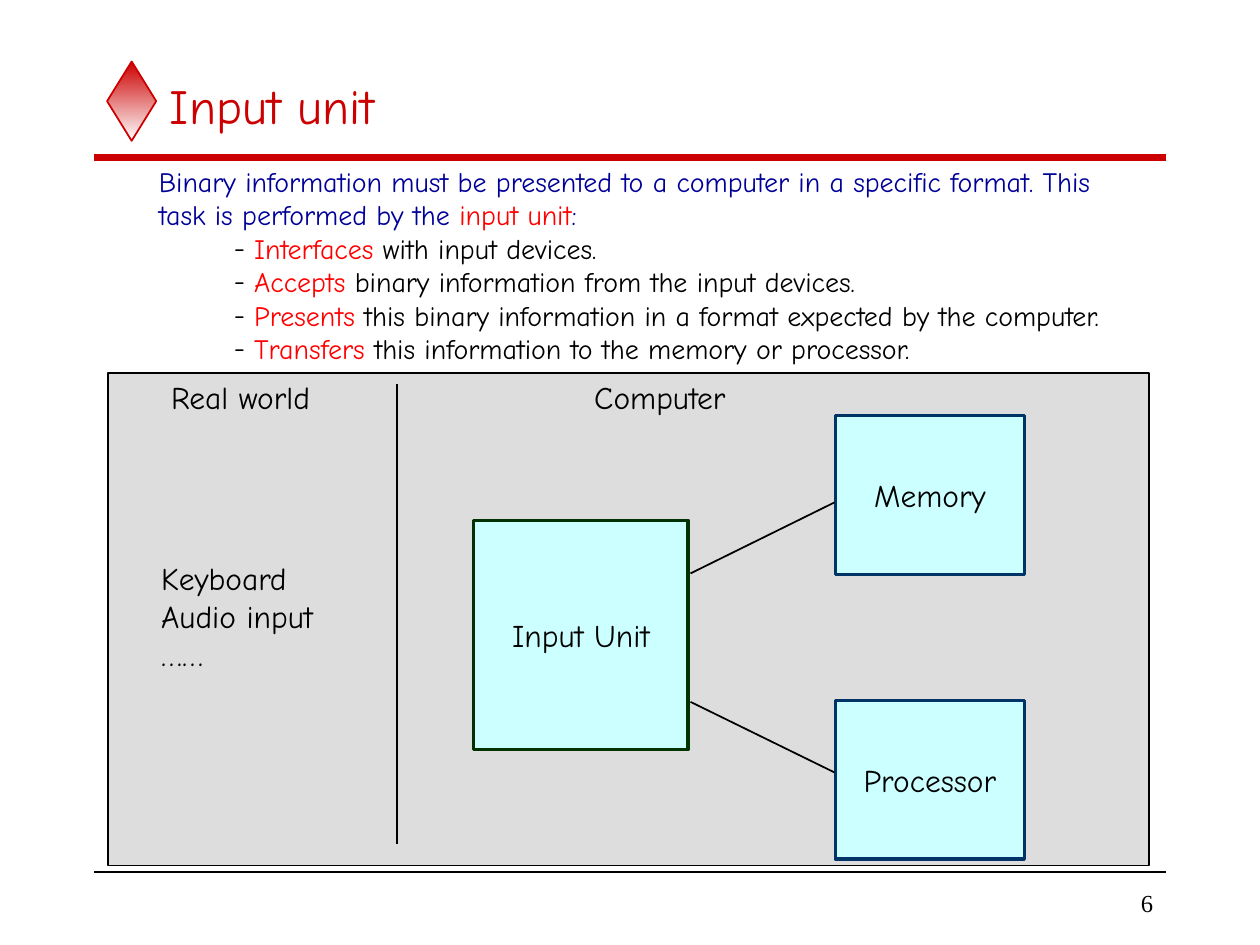
from collections import namedtuple
from lxml.etree import SubElement
from pptx import Presentation
from pptx.dml.color import RGBColor
from pptx.enum.shapes import MSO_CONNECTOR as Link, MSO_SHAPE as Shape
from pptx.enum.text import MSO_ANCHOR as Anchor, MSO_AUTO_SIZE as AutoSize, PP_ALIGN as Align
from pptx.oxml.ns import qn
from pptx.util import Cm, Pt

Box = namedtuple("Box", "left top width height")

HAND, SERIF = "Comic Neue", "Times New Roman"
RED, BRIGHT, NAVY, BLACK = "CC0000", "FF0000", "000099", "000000"
INTRO = [
    [("Binary information must be presented to a computer in a specific format. This", NAVY)],
    [("task is performed by the ", NAVY), ("input unit", BRIGHT), (":", NAVY)],
]
DUTIES = [
    ("Interfaces", " with input devices."),
    ("Accepts", " binary information from the input devices."),
    ("Presents", " this binary information in a format expected by the computer."),
    ("Transfers", " this information to the memory or processor."),
]


def colour(value):
    return RGBColor.from_string(value)


def inside(area, left, top, width, height):
    return Box(area.left + left, area.top + top, width, height)


def place(item, box):
    item.left, item.top, item.width, item.height = (Cm(length) for length in box)


def add_run(para, text, size, tint=BLACK, face=HAND):
    span = para.add_run()
    span.text = text
    span.font.size, span.font.name = Pt(size), face
    span.font.color.rgb = colour(tint)


def write(frame, paragraphs, size, align=Align.LEFT, anchor=Anchor.TOP, face=HAND):
    frame.word_wrap, frame.auto_size = True, AutoSize.NONE
    frame.vertical_anchor = anchor
    for index, runs in enumerate(paragraphs):
        para = frame.add_paragraph() if index else frame.paragraphs[0]
        para.alignment, para.line_spacing = align, 1.0
        para.space_before = para.space_after = Pt(0)
        for text, tint in runs:
            add_run(para, text, size, tint, face)


def add_label(page, box, lines, size=18, **style):
    label = page.shapes.add_textbox(*(Cm(length) for length in box))
    write(label.text_frame, [[(line, BLACK)] for line in lines], size, **style)


def add_line(page, start, end, tint=BLACK, weight=1):
    ends = [Cm(length) for length in (*start, *end)]
    line = page.shapes.add_connector(Link.STRAIGHT, *ends)
    line.line.color.rgb, line.line.width = colour(tint), Pt(weight)
    SubElement(line.element.spPr, qn("a:effectLst"))


def add_block(page, box, fill, border, weight, kind=Shape.RECTANGLE):
    block = page.shapes.add_shape(kind, *(Cm(length) for length in box))
    block.shadow.inherit = False
    block.fill.solid()
    block.fill.fore_color.rgb = colour(fill)
    block.line.color.rgb, block.line.width = colour(border), Pt(weight)
    return block


def set_bullet(para, mark=None, left=0, hanging=0):
    props = para._p.get_or_add_pPr()
    props.set("marL", str(Cm(left)))
    props.set("indent", str(-Cm(hanging)))
    if mark is None:
        SubElement(props, qn("a:buNone"))
        return
    SubElement(SubElement(props, qn("a:buClr")), qn("a:srgbClr"), val=BLACK)
    SubElement(props, qn("a:buFont"), typeface=HAND)
    SubElement(props, qn("a:buChar"), char=mark)


def build_header(page, area):
    diamond = add_block(page, inside(area, 0.26, 0, 0.99, 1.6), RED, RED, 1, Shape.DIAMOND)
    diamond.fill.gradient()
    diamond.fill.gradient_angle = 270
    for stop, tint in zip(diamond.fill.gradient_stops, (RED, "FFFFFF")):
        stop.color.rgb = colour(tint)
    bottom = area.top + area.height
    add_line(page, (area.left, bottom), (area.left + area.width, bottom), RED, 4)
    title = page.shapes.title
    place(title, inside(area, 1.27, 0.03, 20.32, 1.7))
    write(title.text_frame, [[("Input unit", RED)]], 28, anchor=Anchor.MIDDLE)


def build_body(page, area):
    body = page.placeholders[1]
    place(body, area)
    duties = [[(verb, BRIGHT), (rest, BLACK)] for verb, rest in DUTIES]
    write(body.text_frame, INTRO + duties, 16)
    for index, para in enumerate(body.text_frame.paragraphs):
        if index < len(INTRO):
            set_bullet(para)
        else:
            set_bullet(para, "-", 1.92, 0.41)


def build_diagram(page, area):
    add_block(page, area, "DDDDDD", BLACK, 1)
    units = [
        ("Input Unit", (7.37, 2.97, 4.32, 4.62), "003300"),
        ("Processor", (14.66, 6.6, 3.81, 3.2), "003366"),
        ("Memory", (14.66, 0.86, 3.81, 3.2), "003366"),
    ]
    for name, spot, border in units:
        block = add_block(page, inside(area, *spot), "CCFFFF", border, 2)
        write(block.text_frame, [[(name, BLACK)]], 18, Align.CENTER, Anchor.MIDDLE)
    lines = [
        ((11.74, 4.04), (14.64, 2.61)),
        ((11.74, 6.63), (14.64, 8.05)),
        ((5.82, 0.23), (5.82, 9.5)),
    ]
    for ends in lines:
        add_line(page, *((area.left + x, area.top + y) for x, y in ends))
    add_label(page, inside(area, 9.55, -0.03, 3.4, 1.02), ["Computer"])
    add_label(page, inside(area, 1.02, -0.03, 3.5, 1.02), ["Real world"])
    add_label(page, inside(area, 0.82, 3.63, 3.8, 3.3), ["Keyboard", "Audio input", "……"])


def build_footer(page, area):
    add_line(page, (area.left, area.top), (area.left + area.width, area.top))
    number = inside(area, area.width - 3.6, 0.2, 3.6, 0.84)
    add_label(page, number, ["6"], 14, align=Align.RIGHT, anchor=Anchor.MIDDLE, face=SERIF)


def main():
    deck = Presentation()
    deck.slide_width, deck.slide_height = Cm(25.4), Cm(19.05)
    page = deck.slides.add_slide(deck.slide_layouts[1])
    build_header(page, Box(1.9, 1.24, 21.6, 1.94))
    build_body(page, Box(2.95, 3.18, 20.5, 4.32))
    build_diagram(page, Box(2.18, 7.52, 20.98, 9.93))
    build_footer(page, Box(1.9, 17.58, 21.6, 1.04))
    deck.save("out.pptx")


if __name__ == "__main__":
    main()
